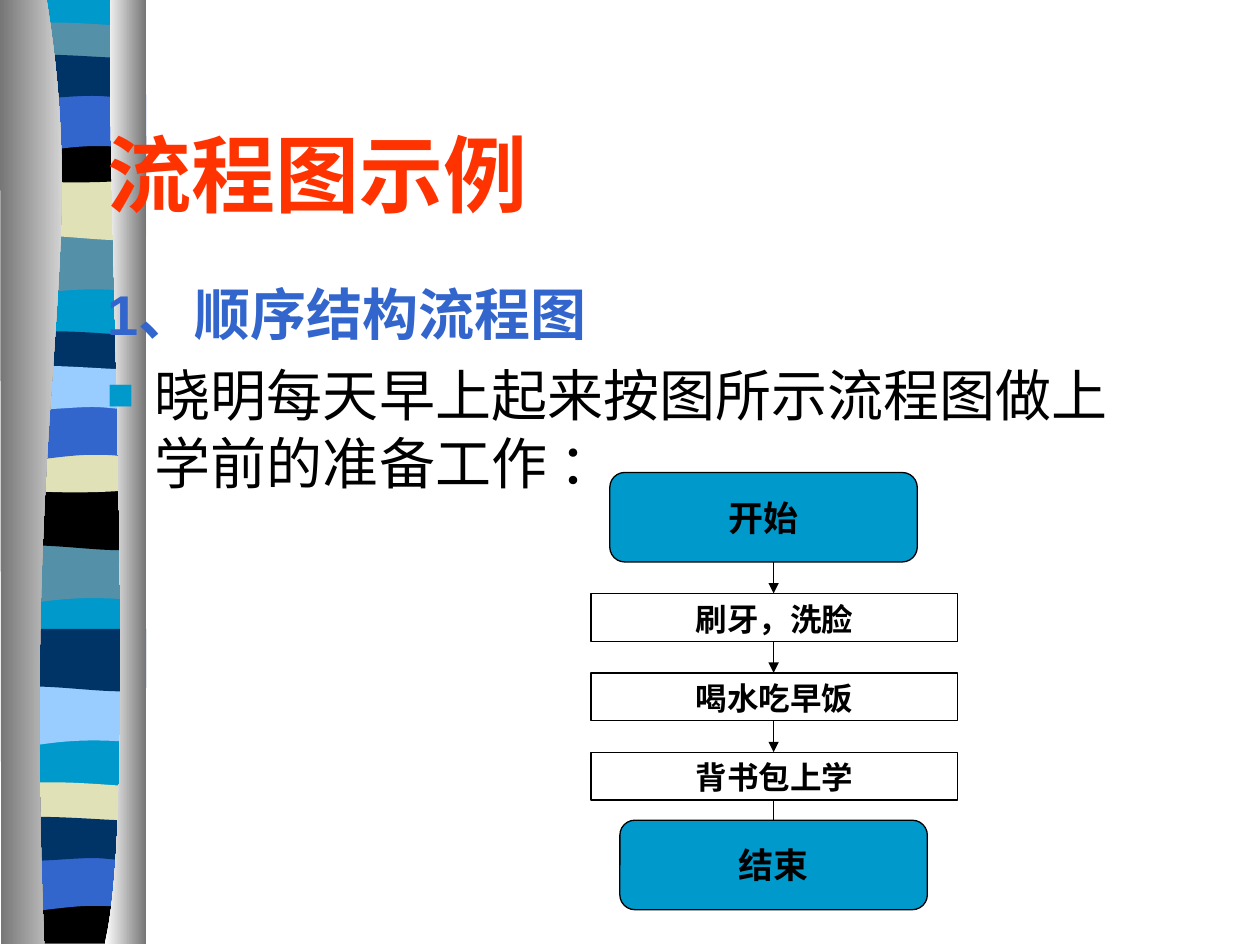
from lxml import etree
from pptx import Presentation
from pptx.dml.color import RGBColor
from pptx.enum.shapes import MSO_CONNECTOR, MSO_SHAPE
from pptx.enum.text import MSO_ANCHOR, MSO_AUTO_SIZE, PP_ALIGN
from pptx.oxml.ns import qn
from pptx.util import Inches, Pt

LEFT, CENTER, JUSTIFY = PP_ALIGN.LEFT, PP_ALIGN.CENTER, PP_ALIGN.JUSTIFY
TOP, MIDDLE = MSO_ANCHOR.TOP, MSO_ANCHOR.MIDDLE
RECT, ROUNDED = MSO_SHAPE.RECTANGLE, MSO_SHAPE.ROUNDED_RECTANGLE
STRAIGHT = MSO_CONNECTOR.STRAIGHT
NO_AUTOFIT = MSO_AUTO_SIZE.NONE

# Content
TITLE = "流程图示例"
HEADING = "1、顺序结构流程图"
INTRO = "晓明每天早上起来按图所示流程图做上学前的准备工作 ："
STEPS = ["刷牙，洗脸", "喝水吃早饭", "背书包上学"]
TERMINALS = [("结束", 4.92, 6.51), ("开始", 4.84, 3.75)]

THEME = {
    "cyan": "0099CC", "slate": "5490A8", "sand": "E1E1B7", "navy": "003366",
    "blue": "3366CC", "sky": "99CCFF", "black": "000000", "white": "FFFFFF",
    "gray": "767676", "red": "FF3300",
    "serif": "Times New Roman", "sans": "Arial",
    "title": 48, "body": 32, "terminal": 20, "step": 18, "line": 0.75,
}

# Outlines: two numbers are a corner, six are a Bezier curve
OUTLINES = {
    "backdrop": [(1.1, 0), (1.1, 7.47), (0, 7.47), (0, 0)],
    "wave": [(1.1, 0), (1.1, 0.47), (0.34, 0.39, 0.19, 0.55, 0, 0.47), (0, 0)],
    "swell": [(1.1, 0), (1.1, 0.47), (0.91, 0.55, 0.34, 0.42, 0, 0.47), (0, 0)],
    "crest": [(1.1, 0.05), (1.1, 0.29), (0.91, 0.33, 0.19, 0.33, 0, 0.29),
              (0, 0.05), (0.07, 0, 0.24, 0.01, 0.42, 0.01),
              (0.61, 0.01, 0.96, 0.04, 1.1, 0.05)],
    "dip": [(1.1, 0), (1.1, 0.33), (0.91, 0.38, 0.18, 0.38, 0, 0.33),
            (0, 0), (0.68, 0.05, 0.87, 0, 1.1, 0)],
    "base": [(1.1, 0), (1.1, 0.37), (0, 0.37), (0, 0),
             (0.67, 0.05, 0.87, 0, 1.1, 0)],
    "arch": [(1.1, 0), (1.1, 0.47), (0.93, 0.41, 0.86, 0.41, 0.68, 0.41),
             (0.49, 0.41, 0.17, 0.47, 0, 0.47), (0, 0)],
    "ripple": [(1.1, 0.06), (1.1, 0.36), (1.03, 0.41, 0.86, 0.36, 0.68, 0.36),
               (0.49, 0.36, 0.12, 0.41, 0, 0.36), (0, 0.06),
               (0.16, 0, 0.75, 0.06, 0.93, 0.06),
               (1.11, 0.06, 1.06, 0.06, 1.1, 0.06)],
    "left pole": [(0.37, 0), (0.72, 2.17, 0.17, 2.96, 0.35, 7.49),
                  (0.01, 7.49), (0, 0)],
    "right pole": [(0.88, 0), (0.83, 1.25, 1.11, 6.47, 0.83, 7.49),
                   (1.16, 7.49), (1.16, 0)],
}
# outline, left, top, colours (two make a gradient), from back to front
RIBBON = [
    ("backdrop", 0.06, 0, ["cyan"]),
    ("wave", 0.05, 1.85, ["slate"]),
    ("swell", 0.06, 1.41, ["sand"]),
    ("crest", 0.05, 0.17, ["slate"]),
    ("dip", 0.06, 1.08, ["black"]),
    ("arch", 0.06, 0.75, ["blue"]),
    ("ripple", 0.05, 0.4, ["navy"]),
    ("wave", 0.04, 4.3, ["slate"]),
    ("swell", 0.05, 3.87, ["black"]),
    ("crest", 0.04, 2.62, ["navy"]),
    ("dip", 0.05, 3.54, ["sand"]),
    ("arch", 0.04, 3.2, ["blue"]),
    ("ripple", 0.05, 2.87, ["sky"]),
    ("wave", 0.05, 5.43, ["sky"]),
    ("swell", 0.06, 4.99, ["navy"]),
    ("crest", 0.04, 6.2, ["sand"]),
    ("base", 0.05, 7.12, ["black"]),
    ("arch", 0.04, 6.78, ["blue"]),
    ("ripple", 0.05, 6.45, ["navy"]),
    ("left pole", 0, 0, ["gray", "white"]),
    ("right pole", 0, 0, ["white", "gray"]),
]

AXIS = 6.14
STEP_LEFT, STEP_TOP, STEP_W, STEP_H, STEP_PITCH = 4.69, 4.71, 2.91, 0.38, 0.63
TERMINAL_W, TERMINAL_H = 2.44, 0.71


def rgb(name):
    return RGBColor.from_string(THEME[name])


def write_text(paragraph, text, size="body", font="serif", color="black",
               bold=True, align=LEFT, before=0):
    paragraph.alignment = align
    paragraph.space_before = Pt(before)
    run = paragraph.add_run()
    run.text = text
    run.font.size = Pt(THEME[size])
    run.font.name = THEME[font]
    run.font.bold = bold
    run.font.color.rgb = rgb(color)


def bend(shape, outline):
    """Join each curve's three straight segments into one Bezier segment."""
    segments = iter(list(shape.element.iter(qn("a:lnTo"))))
    for node in outline[1:]:
        first = next(segments)
        if len(node) == 6:
            curve = etree.Element(qn("a:cubicBezTo"))
            first.addprevious(curve)
            for segment in (first, next(segments), next(segments)):
                curve.append(segment[0])
                segment.getparent().remove(segment)


def add_band(shapes, name, left, top, colors):
    outline = OUTLINES[name]
    points = [(Inches(left + node[i]), Inches(top + node[i + 1]))
              for node in outline for i in range(0, len(node), 2)]
    builder = shapes.build_freeform(*points[0])
    builder.add_line_segments(points[1:], close=True)
    band = builder.convert_to_shape()
    bend(band, outline)
    band.shadow.inherit = False
    band.line.fill.background()
    if len(colors) == 1:
        band.fill.solid()
        band.fill.fore_color.rgb = rgb(colors[0])
    else:
        band.fill.gradient()
        band.fill.gradient_angle = 0
        for stop, color in zip(band.fill.gradient_stops, colors):
            stop.color.rgb = rgb(color)


def place(placeholder, left, top, width, height, anchor):
    """Position a placeholder and bring it in front of the ribbon."""
    placeholder.left, placeholder.top = Inches(left), Inches(top)
    placeholder.width, placeholder.height = Inches(width), Inches(height)
    placeholder.text_frame.vertical_anchor = anchor
    placeholder.text_frame.auto_size = NO_AUTOFIT
    placeholder.element.getparent().append(placeholder.element)


def set_bullet(paragraph, char=None):
    """Give a hanging indent, with a coloured bullet if there is a char."""
    props = paragraph._p.get_or_add_pPr()
    props.set("marL", str(Inches(0.38)))
    props.set("indent", str(-Inches(0.38)))
    if not char:
        etree.SubElement(props, qn("a:buNone"))
        return
    color = etree.SubElement(props, qn("a:buClr"))
    etree.SubElement(color, qn("a:srgbClr"), val=THEME["cyan"])
    etree.SubElement(props, qn("a:buSzPct"), val="80000")
    etree.SubElement(props, qn("a:buFont"), typeface=THEME["sans"])
    etree.SubElement(props, qn("a:buChar"), char=char)


def add_node(shapes, kind, text, box, size, fill, anchor, wrap):
    node = shapes.add_shape(kind, *map(Inches, box))
    node.shadow.inherit = False
    node.fill.solid()
    node.fill.fore_color.rgb = rgb(fill)
    node.line.color.rgb = rgb("black")
    node.line.width = Pt(THEME["line"])
    node.text_frame.vertical_anchor = anchor
    node.text_frame.word_wrap = wrap
    write_text(node.text_frame.paragraphs[0], text, size=size, align=CENTER)


def add_arrow(shapes, start, end):
    arrow = shapes.add_connector(STRAIGHT, *map(Inches, (AXIS, start, AXIS, end)))
    arrow.line.color.rgb = rgb("black")
    arrow.line.width = Pt(THEME["line"])
    etree.SubElement(arrow.line._get_or_add_ln(), qn("a:tailEnd"), type="triangle")
    etree.SubElement(arrow.element.spPr, qn("a:effectLst"))


def main():
    deck = Presentation()
    deck.slide_width, deck.slide_height = Inches(10), Inches(7.5)
    slide = deck.slides.add_slide(deck.slide_layouts[1])
    title, body = slide.placeholders

    ribbon = slide.shapes.add_group_shape().shapes
    for band in RIBBON:
        add_band(ribbon, *band)

    place(title, 0.75, 0.75, 8.5, 1.25, MIDDLE)
    write_text(title.text_frame.paragraphs[0], TITLE, size="title", color="red")

    place(body, 0.75, 2.17, 8.5, 4.42, TOP)
    heading = body.text_frame.paragraphs[0]
    write_text(heading, HEADING, font="sans", color="blue", align=JUSTIFY)
    set_bullet(heading)
    intro = body.text_frame.add_paragraph()
    write_text(intro, INTRO, font="sans", bold=False, before=8)
    set_bullet(intro, "■")

    flow = slide.shapes.add_group_shape().shapes
    for index, step in enumerate(STEPS):
        top = STEP_TOP + index * STEP_PITCH
        add_arrow(flow, top + STEP_H - STEP_PITCH, top)
        add_node(flow, RECT, step, (STEP_LEFT, top, STEP_W, STEP_H),
                 "step", "white", TOP, True)
    add_arrow(flow, top + STEP_H, top + STEP_PITCH)
    for text, left, top in TERMINALS:
        add_node(slide.shapes, ROUNDED, text, (left, top, TERMINAL_W, TERMINAL_H),
                 "terminal", "cyan", MIDDLE, False)

    deck.save("out.pptx")


if __name__ == "__main__":
    main()
